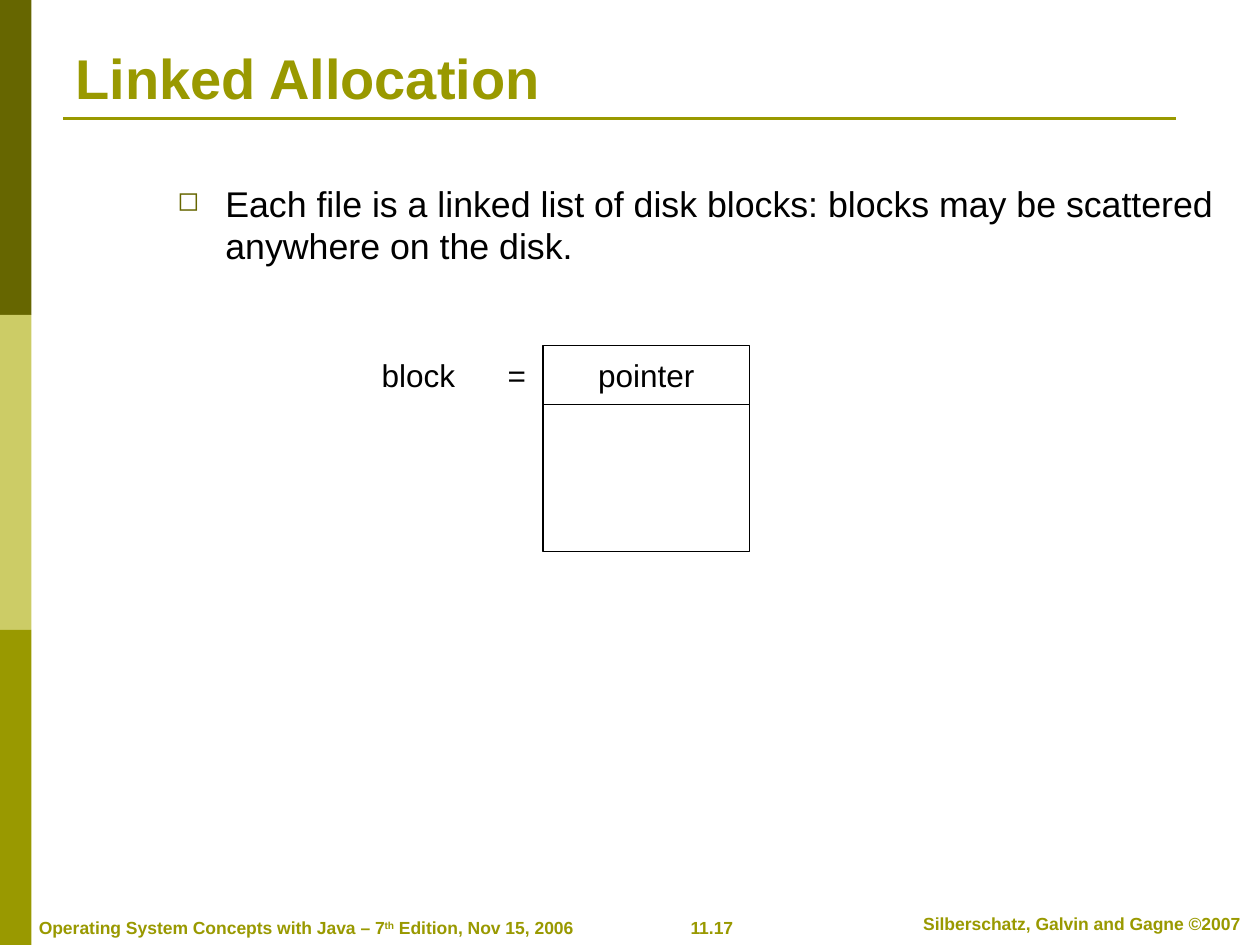
from dataclasses import dataclass

from lxml.etree import SubElement
from pptx import Presentation
from pptx.dml.color import RGBColor
from pptx.enum.shapes import MSO_CONNECTOR, MSO_SHAPE
from pptx.enum.text import MSO_ANCHOR, PP_ALIGN
from pptx.oxml.ns import qn
from pptx.util import Inches, Pt


@dataclass(frozen=True)
class Theme:
    font: str = "Arial"
    dark: RGBColor = RGBColor(0x66, 0x66, 0x00)
    light: RGBColor = RGBColor(0xCC, 0xCC, 0x66)
    accent: RGBColor = RGBColor(0x99, 0x99, 0x00)
    ink: RGBColor = RGBColor(0, 0, 0)
    paper: RGBColor = RGBColor(0xFF, 0xFF, 0xFF)
    title_size: float = 32
    body_size: float = 20.4
    label_size: float = 18
    footer_size: float = 10


THEME = Theme()


def set_all(target, values):
    for name, value in values.items():
        setattr(target, name, value)


def write(shape, runs, size, color, bold=False, align=PP_ALIGN.LEFT, anchor=MSO_ANCHOR.TOP):
    set_all(shape.text_frame, {"word_wrap": True, "vertical_anchor": anchor})
    paragraph = shape.text_frame.paragraphs[0]
    paragraph.alignment = align
    for text, baseline in runs:
        run = paragraph.add_run()
        run.text = text
        set_all(run.font, {"name": THEME.font, "size": Pt(size), "bold": bold})
        run.font.color.rgb = color
        if baseline:
            run.font._element.set("baseline", str(baseline))
    return paragraph


def add_text(slide, box, runs, size, color, **options):
    shape = slide.shapes.add_textbox(*map(Inches, box))
    return write(shape, runs, size, color, **options)


def add_rectangle(slide, box, fill, outlined=False):
    shape = slide.shapes.add_shape(MSO_SHAPE.RECTANGLE, *map(Inches, box))
    shape.shadow.inherit = False
    shape.fill.solid()
    shape.fill.fore_color.rgb = fill
    if outlined:
        shape.line.color.rgb = THEME.ink
        shape.line.width = Pt(0.75)
    else:
        shape.line.fill.background()
    return shape


def add_side_band(slide, box):
    left, top, width, height = box
    colors = (THEME.dark, THEME.light, THEME.accent)
    part = height / len(colors)
    for index, color in enumerate(colors):
        add_rectangle(slide, (left, top + index * part, width, part), color)


def add_title(slide, box, text):
    left, top, width, height = box
    add_text(slide, box, [(text, 0)], THEME.title_size, THEME.accent,
             bold=True, anchor=MSO_ANCHOR.BOTTOM)
    rule_top = Inches(top + height + 0.01)
    rule = slide.shapes.add_connector(
        MSO_CONNECTOR.STRAIGHT, Inches(left), rule_top, Inches(left + width - 0.17), rule_top)
    rule.line.color.rgb = THEME.accent
    rule.line.width = Pt(1.5)
    SubElement(rule._element.spPr, qn("a:effectLst"))


def add_bullet(slide, box, text):
    paragraph = add_text(slide, box, [(text, 0)], THEME.body_size, THEME.ink)
    properties = paragraph._p.get_or_add_pPr()
    indent = Inches(0.38)
    properties.set("marL", str(indent))
    properties.set("indent", str(-indent))
    color = SubElement(properties, qn("a:buClr"))
    SubElement(color, qn("a:srgbClr"), val=str(THEME.dark))
    SubElement(properties, qn("a:buSzPct"), val="75000")
    SubElement(properties, qn("a:buChar"), char="◻")


def add_block_diagram(slide, box):
    left, top, width, height = box
    label_width, pointer_height = 1.38, 0.47
    cell_left, cell_width = left + label_width, width - label_width
    pointer = add_rectangle(
        slide, (cell_left, top, cell_width, pointer_height), THEME.paper, outlined=True)
    write(pointer, [("pointer", 0)], THEME.label_size, THEME.ink,
          align=PP_ALIGN.CENTER, anchor=MSO_ANCHOR.MIDDLE)
    add_rectangle(
        slide, (cell_left, top + pointer_height, cell_width, height - pointer_height),
        THEME.paper, outlined=True)
    label = add_text(slide, (left, top, label_width, pointer_height), [("block\t=", 0)],
                     THEME.label_size, THEME.ink, anchor=MSO_ANCHOR.MIDDLE)
    tabs = SubElement(label._p.get_or_add_pPr(), qn("a:tabLst"))
    SubElement(tabs, qn("a:tab"), pos=str(Inches(1)), algn="l")


def add_footer(slide, box):
    left, top, width, height = box
    edition = [("Operating System Concepts with Java – 7", 0), ("th", 30000),
               (" Edition, Nov 15, 2006", 0)]
    parts = (
        ((left, top + 0.03, 4.7, height), edition, PP_ALIGN.LEFT),
        ((left + 4.91, top + 0.03, 1.06, height), [("11.17", 0)], PP_ALIGN.CENTER),
        ((left + width - 2.97, top, 2.97, height),
         [("Silberschatz, Galvin and Gagne ©2007", 0)], PP_ALIGN.CENTER),
    )
    for part_box, runs, align in parts:
        add_text(slide, part_box, runs, THEME.footer_size, THEME.accent, bold=True, align=align)


def main():
    presentation = Presentation()
    set_all(presentation, {"slide_width": Inches(10), "slide_height": Inches(7.5)})
    slide = presentation.slides.add_slide(presentation.slide_layouts[6])
    add_side_band(slide, (0, 0, 0.25, 7.5))
    add_title(slide, (0.5, 0.3, 9, 0.63), "Linked Allocation")
    add_bullet(slide, (1.31, 1.39, 8.51, 0.8),
               "Each file is a linked list of disk blocks: "
               "blocks may be scattered anywhere on the disk.")
    add_block_diagram(slide, (2.93, 2.74, 3.02, 1.64))
    add_footer(slide, (0.21, 7.2, 9.86, 0.27))
    presentation.save("out.pptx")


if __name__ == "__main__":
    main()
